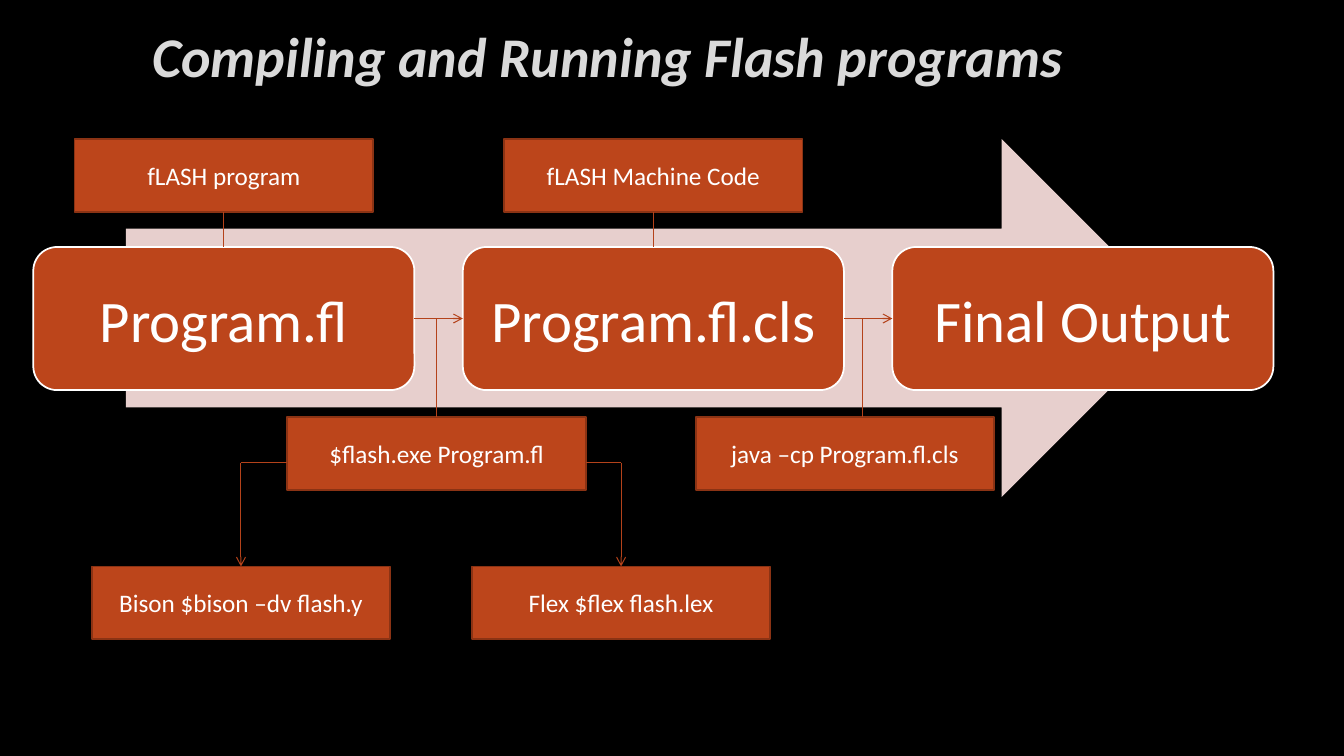
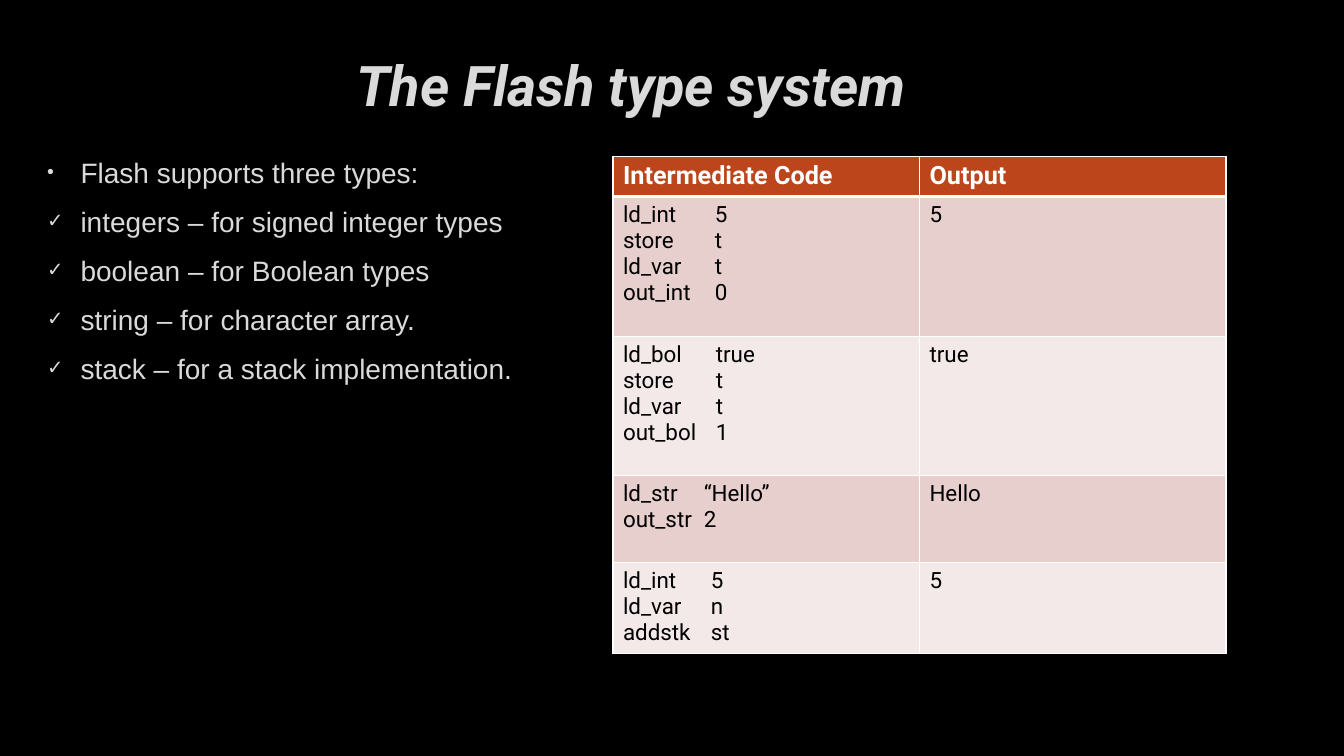
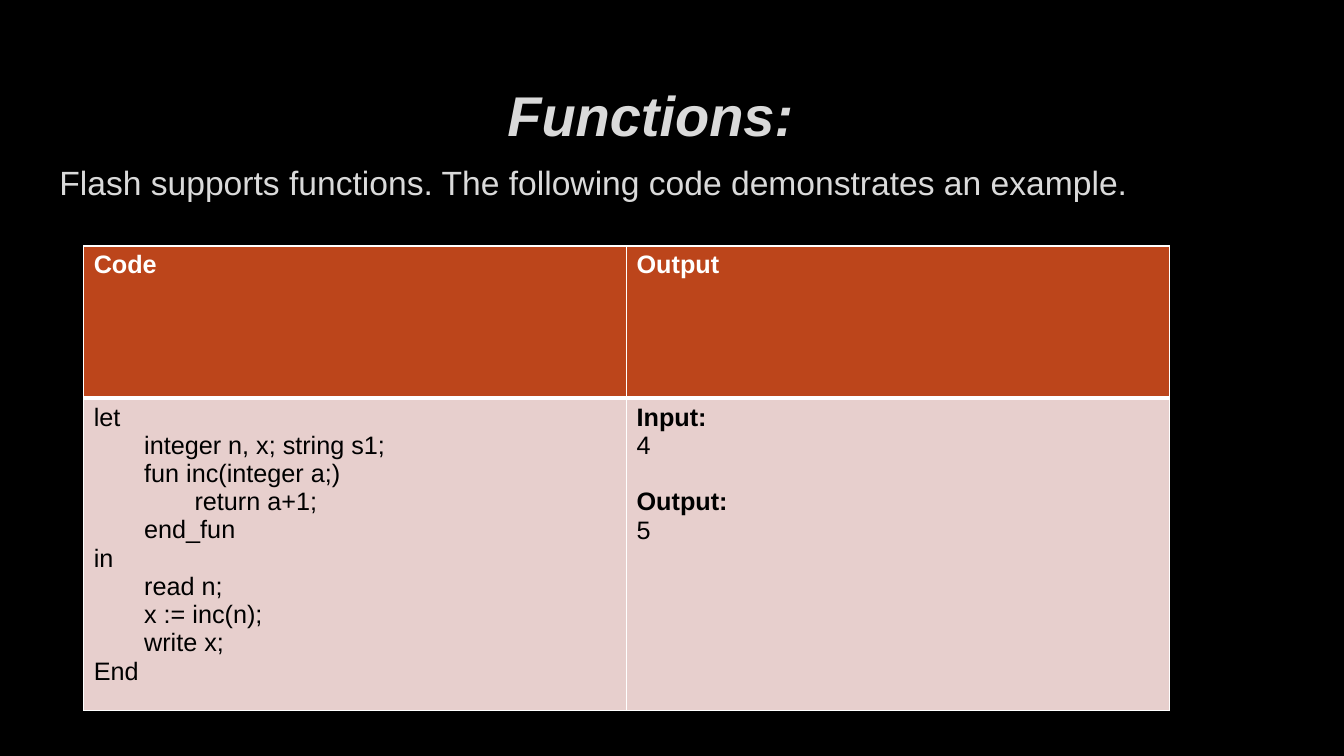
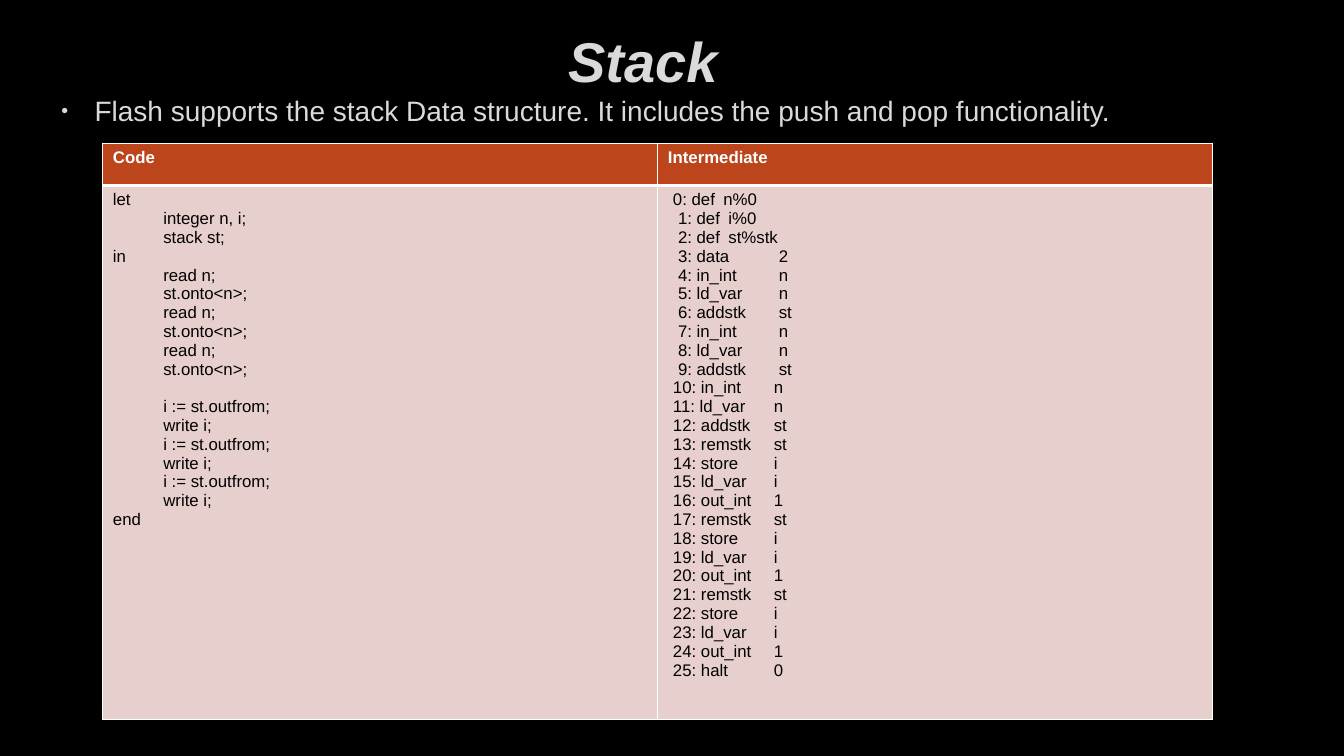
import dataclasses

import lxml.etree
import pptx
import pptx.dml.color
import pptx.enum.shapes
import pptx.enum.text
import pptx.oxml.ns
import pptx.util

Inches = pptx.util.Inches
Pt = pptx.util.Pt
Shape = pptx.enum.shapes.MSO_SHAPE
Align = pptx.enum.text.PP_ALIGN
qn = pptx.oxml.ns.qn


@dataclasses.dataclass(frozen=True)
class Theme:
    background: str = "000000"
    heading: str = "DADADA"
    accent: str = "BC451B"
    edge: str = "8B3314"
    link: str = "B4421A"
    light: str = "FFFFFF"
    dark: str = "000000"
    band: str = "E7CFCD"
    pale: str = "F3E9E8"
    title_size: int = 40
    step_size: int = 42
    lead_size: int = 24
    body_size: int = 20
    label_size: int = 18
    cell_size: int = 16
    listing_size: int = 12
    indent: float = 0.5


@dataclasses.dataclass(frozen=True)
class Line:
    text: str
    indent: float = 0
    bold: bool = False
    gap: bool = False
    tab: float = 0


THEME = Theme()
SLIDE_SIZE = (13.33, 7.5)

TITLES = {
    "compile": ("Compiling and Running Flash programs", "Calibri", (0.54, 0.22, 10.97, 0.65)),
    "types": ("The Flash type system", "Roboto", (0.51, 0.11, 11.5, 1.45)),
    "functions": ("Functions:", "Arial", (0.49, 0.41, 11.92, 1.44)),
    "stack": ("Stack", "Arial", (1.84, 0.1, 9.07, 0.99)),
}

STEPS = ["Program.fl", "Program.fl.cls", "Final Output"]
STEP_LABELS = ["fLASH program", "fLASH Machine Code"]
COMMANDS = [("$flash.exe Program.fl", 2.85, 4.33), ("java –cp Program.fl.cls", 6.9, 8.55)]
TOOLS = [("Bison $bison –dv flash.y", 0.91), ("Flex $flex flash.lex", 4.68)]

TYPES = [
    ("•", "Flash supports three types:"),
    ("✓", "integers – for signed integer types"),
    ("✓", "boolean – for Boolean types"),
    ("✓", "string – for character array."),
    ("✓", "stack – for a stack implementation."),
]
TYPE_HEADER = ["Intermediate Code", "Output"]
TYPE_ROWS = [
    (["ld_int 5", "store t", "ld_var t", "out_int 0"], 0.91, "5"),
    (["ld_bol true", "store t", "ld_var t", "out_bol 1"], 0.92, "true"),
    (["ld_str “Hello”", "out_str 2"], 0.8, "Hello"),
    (["ld_int 5", "ld_var n", "addstk st"], 0.87, "5"),
]

FUNCTION_LEAD = [("", "Flash supports functions. The following code demonstrates an example.")]
FUNCTION_CODE = [
    (0, "let"), (1, "integer n, x; string s1;"), (1, "fun inc(integer a;)"),
    (2, "return a+1;"), (1, "end_fun"), (0, "in"), (1, "read n;"),
    (1, "x := inc(n);"), (1, "write x;"), (0, "End"),
]
FUNCTION_OUTPUT = [
    Line("Input:", bold=True), Line("4"),
    Line("Output:", bold=True, gap=True), Line("5"),
]

STACK_LEAD = [("•", "Flash supports the stack Data structure. "
                    "It includes the push and pop functionality.")]
PUSH = [(1, "read n;"), (1, "st.onto<n>;")]
POP = [(1, "i := st.outfrom;"), (1, "write i;")]
STACK_CODE = [(0, "let"), (1, "integer n, i;"), (1, "stack st;"), (0, "in")] + PUSH * 3
STACK_POPS = POP * 3 + [(0, "end")]
STACK_OPERATIONS = (
    ["def n%0", "def i%0", "def st%stk", "data 2"]
    + ["in_int n", "ld_var n", "addstk st"] * 3
    + ["remstk st", "store i", "ld_var i", "out_int 1"] * 3
    + ["halt 0"]
)


def rgb(value):
    return pptx.dml.color.RGBColor.from_string(value)


def inches(values):
    return [Inches(value) for value in values]


def apply(target, values):
    for name, value in values.items():
        setattr(target, name, value)


def write(para, text, font, size, color, **flags):
    span = para.add_run()
    span.text = text
    apply(span.font, {"name": font, "size": Pt(size), **flags})
    span.font.color.rgb = rgb(color)


def add_page(deck, key):
    text, font, place = TITLES[key]
    page = deck.slides.add_slide(deck.slide_layouts[5])
    title = page.shapes.title
    apply(title, dict(zip(("left", "top", "width", "height"), inches(place))))
    apply(title.text_frame, {
        "word_wrap": True,
        "auto_size": pptx.enum.text.MSO_AUTO_SIZE.NONE,
        "vertical_anchor": pptx.enum.text.MSO_ANCHOR.MIDDLE,
    })
    para = title.text_frame.paragraphs[0]
    para.alignment = Align.CENTER
    write(para, text, font, THEME.title_size, THEME.heading, bold=True, italic=True)
    return page


def add_box(page, kind, place, fill, edge=None, text="", size=THEME.label_size):
    box = page.shapes.add_shape(kind, *inches(place))
    box.shadow.inherit = False
    box.fill.solid()
    box.fill.fore_color.rgb = rgb(fill)
    if edge:
        box.line.color.rgb = rgb(edge)
        box.line.width = Pt(1.25)
    else:
        box.line.fill.background()
    if text:
        apply(box.text_frame, {"word_wrap": True,
                               "vertical_anchor": pptx.enum.text.MSO_ANCHOR.MIDDLE})
        para = box.text_frame.paragraphs[0]
        para.alignment = Align.CENTER
        write(para, text, "Calibri", size, THEME.light)
    return box


def add_label(page, text, left, top):
    return add_box(page, Shape.RECTANGLE, (left, top, 2.96, 0.72),
                   THEME.accent, THEME.edge, text)


def add_link(page, start, end, begin_at=None, end_at=None, arrow=False):
    link = page.shapes.add_connector(pptx.enum.shapes.MSO_CONNECTOR.STRAIGHT,
                                     *inches(start + end))
    if begin_at:
        link.begin_connect(*begin_at)
    if end_at:
        link.end_connect(*end_at)
    link.line.color.rgb = rgb(THEME.link)
    link.line.width = Pt(0.75)
    if arrow:
        lxml.etree.SubElement(link.line._get_or_add_ln(), qn("a:tailEnd"), type="arrow")
    lxml.etree.SubElement(link._element.spPr, qn("a:effectLst"))


def add_bullet(para, mark):
    properties = para._p.get_or_add_pPr()
    properties.set("marL", str(Inches(0.38)))
    properties.set("indent", str(Inches(-0.33)))
    color = lxml.etree.SubElement(properties, qn("a:buClr"))
    lxml.etree.SubElement(color, qn("a:srgbClr"), val=THEME.heading)
    lxml.etree.SubElement(properties, qn("a:buSzPct"), val="70000")
    lxml.etree.SubElement(properties, qn("a:buFont"), typeface="Arial")
    lxml.etree.SubElement(properties, qn("a:buChar"), char=mark)


def paragraphs(frame, items):
    for index, item in enumerate(items):
        yield (frame.add_paragraph() if index else frame.paragraphs[0]), item


def add_body(page, place, items, size):
    frame = page.shapes.add_textbox(*inches(place)).text_frame
    frame.word_wrap = True
    for para, (mark, text) in paragraphs(frame, items):
        apply(para, {"space_before": Pt(size / 4), "space_after": Pt(6)})
        if mark:
            add_bullet(para, mark)
        write(para, text, "Arial", size, THEME.heading)


def set_border(cell, widths):
    properties = cell._tc.get_or_add_tcPr()
    for index, (side, width) in enumerate(widths.items()):
        line = lxml.etree.Element(qn("a:ln" + side), w=str(Pt(width)))
        fill = lxml.etree.SubElement(line, qn("a:solidFill"))
        lxml.etree.SubElement(fill, qn("a:srgbClr"), val=THEME.light)
        properties.insert(index, line)


def fill_cell(cell, lines, font, size, color):
    for para, line in paragraphs(cell.text_frame, lines):
        properties = para._p.get_or_add_pPr()
        if line.indent:
            properties.set("marL", str(Inches(line.indent)))
            properties.set("indent", "0")
        if line.gap:
            para.space_before = Pt(round(size * 1.12, 1))
        if line.tab:
            stops = lxml.etree.SubElement(properties, qn("a:tabLst"))
            lxml.etree.SubElement(stops, qn("a:tab"), pos=str(Inches(line.tab)), algn="l")
        write(para, line.text, font, size, color, bold=line.bold)


def add_grid(page, place, heights, header, rows, font, header_size, size):
    left, top, width = place
    grid = page.shapes.add_table(len(heights), len(header),
                                 *inches((left, top, width, sum(heights)))).table
    grid.horz_banding = False
    for row, height in zip(grid.rows, heights):
        row.height = Inches(height)
    cells = [[[Line(text, bold=True)] for text in header]] + rows
    for row_index, row in enumerate(cells):
        fill = (THEME.pale, THEME.band)[row_index % 2] if row_index else THEME.accent
        for column, lines in enumerate(row):
            cell = grid.cell(row_index, column)
            cell.fill.solid()
            cell.fill.fore_color.rgb = rgb(fill)
            set_border(cell, {"L": 1, "R": 1, "T": 3 if row_index == 1 else 1,
                              "B": 1 if row_index else 3})
            fill_cell(cell, lines, font, size if row_index else header_size,
                      THEME.dark if row_index else THEME.light)


def code_lines(code, gap=False):
    return [Line(text, indent=level * THEME.indent, gap=gap and not index)
            for index, (level, text) in enumerate(code)]


def tabbed(operation):
    return "\t".join(operation.split(" "))


def build_compile(deck):
    page = add_page(deck, "compile")
    add_box(page, Shape.RIGHT_ARROW, (1.25, 1.38, 10.46, 3.55), THEME.band)
    left, pitch, width, middle = 0.33, 4.26, 3.78, 3.16
    steps = [
        add_box(page, Shape.ROUNDED_RECTANGLE, (left + pitch * index, 2.45, width, 1.42),
                THEME.accent, THEME.light, text, THEME.step_size)
        for index, text in enumerate(STEPS)
    ]
    for index, (step, following) in enumerate(zip(steps, steps[1:])):
        right = left + pitch * index + width
        add_link(page, (right, middle), (left + pitch * (index + 1), middle),
                 (step, 3), (following, 1), arrow=True)
    for index, text in enumerate(STEP_LABELS):
        center = left + pitch * index + width / 2
        label = add_label(page, text, center - 1.48, 1.38)
        add_link(page, (center, 2.1), (center, 2.45), (label, 2), (steps[index], 0))
    for text, start, drop in COMMANDS:
        command = add_label(page, text, start, 4.14)
        centered = abs(start + 1.48 - drop) < 0.01
        add_link(page, (drop, middle), (drop, 4.14),
                 end_at=(command, 0) if centered else None)
    branch = 4.59
    for (text, start), side in zip(TOOLS, (2.85, 5.81)):
        center = start + 1.48
        tool = add_label(page, text, start, 5.62)
        add_link(page, (side, branch), (center, branch))
        add_link(page, (center, branch), (center, 5.62), end_at=(tool, 0), arrow=True)


def build_types(deck):
    page = add_page(deck, "types")
    add_body(page, (0.32, 1.49, 5.35, 4.22), TYPES, THEME.body_size)
    rows = [[[Line(tabbed(text), tab=tab) for text in code], [Line(output)]]
            for code, tab, output in TYPE_ROWS]
    add_grid(page, (6.08, 1.55, 6.08), [0.4, 1.39, 1.38, 0.86, 0.88], TYPE_HEADER, rows,
             "Roboto", THEME.label_size, THEME.cell_size)


def build_functions(deck):
    page = add_page(deck, "functions")
    add_body(page, (0.49, 1.56, 11.92, 0.7), FUNCTION_LEAD, THEME.lead_size)
    add_grid(page, (0.83, 2.44, 10.77), [1.51, 2.9], ["Code", "Output"],
             [[code_lines(FUNCTION_CODE), FUNCTION_OUTPUT]],
             "Arial", THEME.label_size, THEME.label_size)


def build_stack(deck):
    page = add_page(deck, "stack")
    add_body(page, (0.46, 0.88, 12.8, 0.5), STACK_LEAD, THEME.body_size)
    code = code_lines(STACK_CODE) + code_lines(STACK_POPS, gap=True)
    operations = [
        Line(f"{index}: {tabbed(text)}", indent=0.1 if 0 < index < 10 else 0.05, tab=1.05)
        for index, text in enumerate(STACK_OPERATIONS)
    ]
    add_grid(page, (1.02, 1.42, 11.01), [0.42, 5.27], ["Code", "Intermediate"],
             [[code, operations]], "Arial", THEME.listing_size, THEME.listing_size)


def main():
    deck = pptx.Presentation()
    deck.slide_width, deck.slide_height = inches(SLIDE_SIZE)
    backdrop = deck.slide_master.background.fill
    backdrop.solid()
    backdrop.fore_color.rgb = rgb(THEME.background)
    for build in (build_compile, build_types, build_functions, build_stack):
        build(deck)
    deck.save("out.pptx")


if __name__ == "__main__":
    main()
